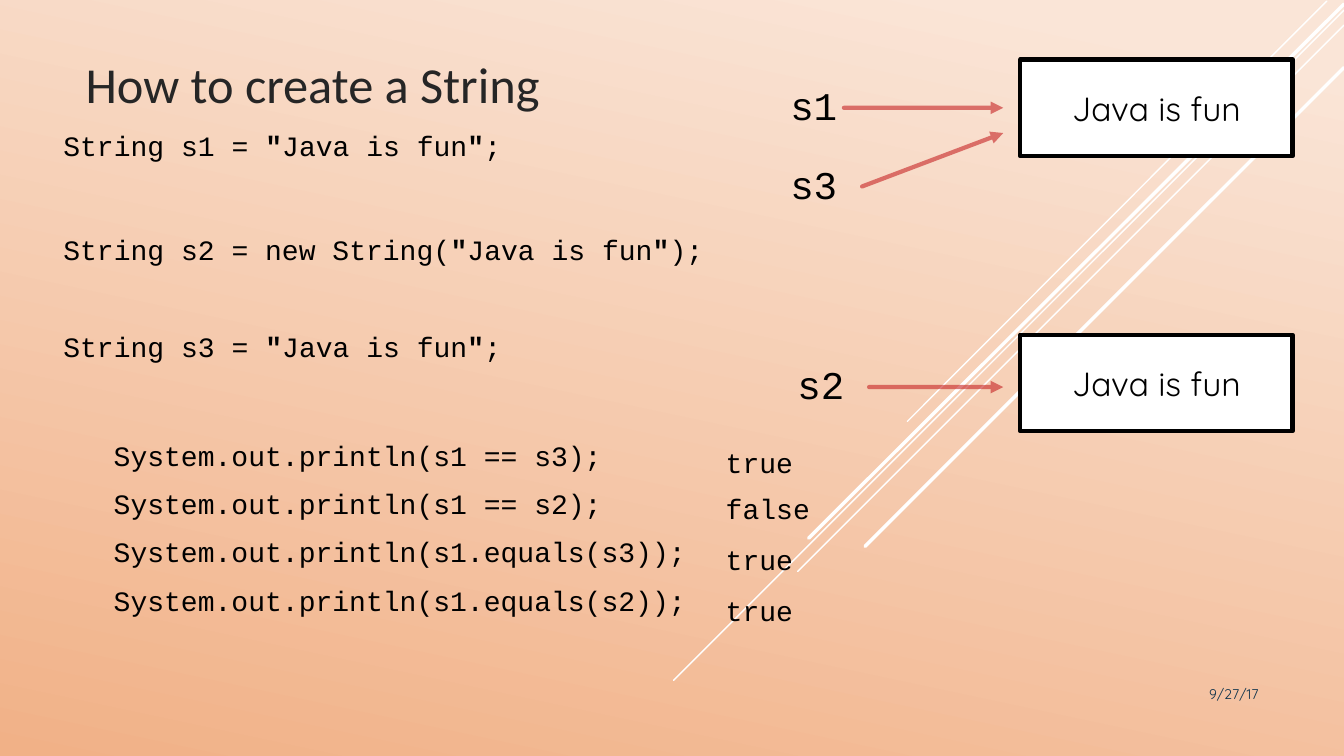
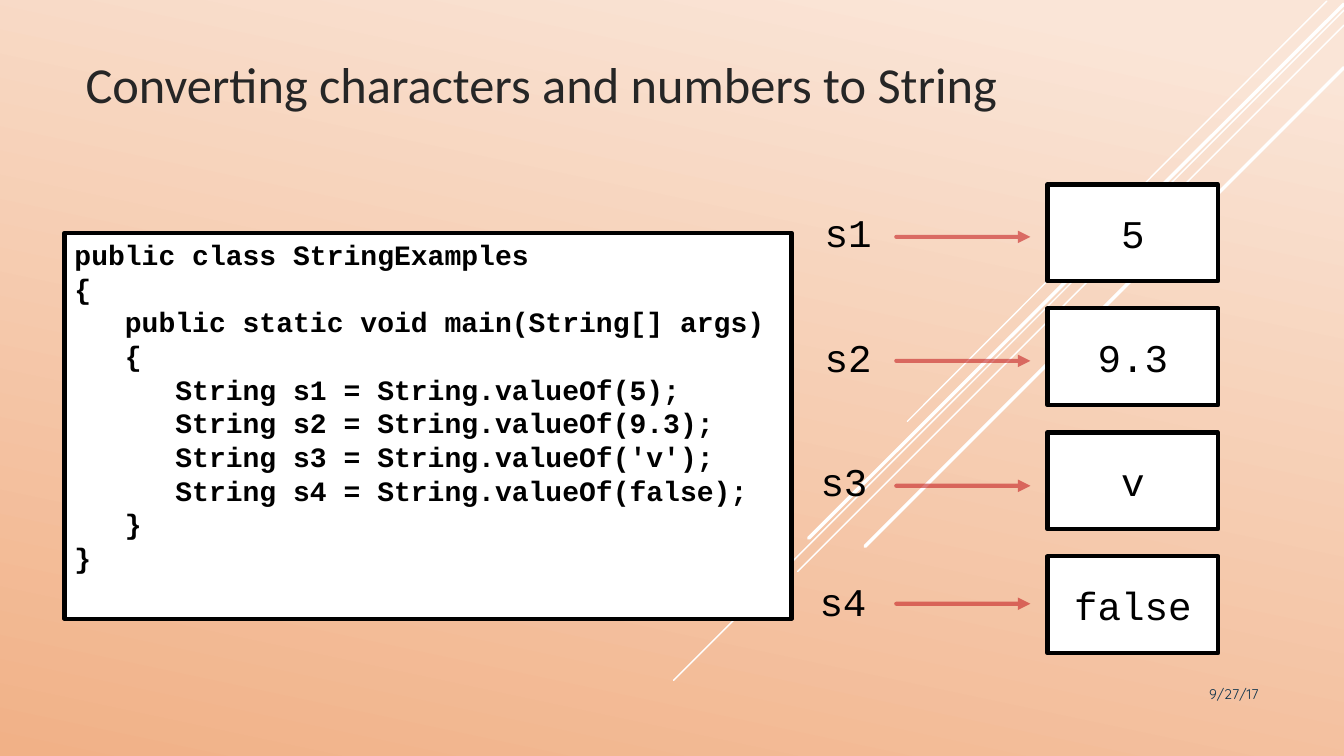
from lxml import etree
from pptx import Presentation
from pptx import util as u
from pptx.dml.color import RGBColor
from pptx.enum import shapes, text
from pptx.oxml.ns import qn

PX = 9144  # one px is a hundredth of an inch
COLORS = {
    "light": "FAE5D7", "peach": "F1B187", "white": "FFFFFF", "black": "000000",
    "title": "262626", "date": "0A304A", "arrow": "C62324",
}
MONO, SANS, ROUND = "Courier New", "Calibri", "Quicksand"
FORMATS = {
    "title": {"name": SANS, "size": u.Pt(36), "color": "title"},
    "date": {"name": ROUND, "size": u.Pt(10), "color": "date"},
    "code": {"name": MONO, "size": u.Pt(20), "color": "black"},
    "bold code": {"name": MONO, "size": u.Pt(20), "color": "black", "bold": True},
    "label": {"name": MONO, "size": u.Pt(28), "color": "black"},
    "string": {"name": ROUND, "size": u.Pt(24), "color": "black"},
}
STRIPES = [  # x1, y1, x2, y2, width in points
    (1316, 1, 900, 418, 1), (1333, 10, 668, 675, 1), (1333, 25, 791, 567, 1),
    (1333, 4, 802, 534, 2.5), (1333, 67, 858, 542, 2.5),
]
CODE_LINE = u.Pt(24)


def px(*values):
    return [u.Emu(v * PX) for v in values]


def rgb(name):
    return RGBColor.from_string(COLORS[name])


def add_run(p, words, fmt):
    r = p.add_run()
    r.text = words
    for key, value in FORMATS[fmt].items():
        if key == "color":
            r.font.color.rgb = rgb(value)
        else:
            setattr(r.font, key, value)


def set_frame(sp, anchor):
    tf = sp.text_frame
    tf.word_wrap = True
    tf.vertical_anchor = anchor
    return tf


def add_text(s, at, words, fmt, align=text.PP_ALIGN.LEFT, anchor=text.MSO_ANCHOR.TOP):
    tf = set_frame(s.shapes.add_textbox(*px(*at)), anchor)
    p = tf.paragraphs[0]
    p.alignment = align
    add_run(p, words, fmt)


def add_box(s, at):
    sp = s.shapes.add_shape(shapes.MSO_SHAPE.RECTANGLE, *px(*at))
    sp.shadow.inherit = False
    sp.fill.solid()
    sp.fill.fore_color.rgb = rgb("white")
    sp.line.color.rgb = rgb("black")
    sp.line.width = u.Pt(3)
    return sp


def add_value_box(s, at, words, fmt):
    p = set_frame(add_box(s, at), text.MSO_ANCHOR.MIDDLE).paragraphs[0]
    p.alignment = text.PP_ALIGN.CENTER
    add_run(p, words, fmt)


def add_line(s, ends, color, width):
    c = s.shapes.add_connector(shapes.MSO_CONNECTOR.STRAIGHT, *px(*ends))
    c.line.color.rgb = rgb(color)
    c.line.width = u.Pt(width)
    c.line._ln.set("cap", "rnd")
    etree.SubElement(c._element.spPr, qn("a:effectLst"))
    return c


def add_arrow(s, ends):
    ln = add_line(s, ends, "arrow", 3).line._ln
    etree.SubElement(ln.find(".//" + qn("a:srgbClr")), qn("a:alpha"), val="60000")
    etree.SubElement(ln, qn("a:tailEnd"), type="triangle")


def add_label(s, x, y, words):
    add_text(s, (x, y, 80, 57), words, "label")


def set_master(prs, s):
    """Give the master its gradient and stripes."""
    master = prs.slide_master
    fill = master.background.fill
    fill.gradient()
    fill.gradient_angle = 258
    for stop, color, position in zip(fill.gradient_stops, ("light", "peach"), (0.07, 1)):
        stop.color.rgb = rgb(color)
        stop.position = position
    for *ends, width in STRIPES:
        stripe = add_line(s, ends, "white", width)
        master.shapes._spTree.append(stripe._element)


def add_slide(prs, title):
    s = prs.slides.add_slide(prs.slide_layouts[6])
    add_text(s, (75, 15, 1080, 103), title, "title", anchor=text.MSO_ANCHOR.BOTTOM)
    add_text(s, (1083, 675, 175, 40), "9/27/17", "date", align=text.PP_ALIGN.RIGHT)
    return s


def fill_creation(s):
    # Statements: space before in points, indent in px, code
    statements = [
        (0, 0, 'String s1 = "Java is fun";'),
        (50, 0, 'String s2 = new String("Java is fun");'),
        (45, 0, 'String s3 = "Java is fun";'),
        (54, 50, "System.out.println(s1 == s3);"),
        (10.5, 50, "System.out.println(s1 == s2);"),
        (10.5, 50, "System.out.println(s1.equals(s3));"),
        (10.5, 50, "System.out.println(s1.equals(s2));"),
    ]
    tf = set_frame(s.shapes.add_textbox(*px(53, 123, 690, 510)), text.MSO_ANCHOR.TOP)
    for i, (gap, indent, code) in enumerate(statements):
        p = tf.add_paragraph() if i else tf.paragraphs[0]
        p._p.get_or_add_pPr().set("marL", str(indent * PX))
        p.line_spacing = CODE_LINE
        if gap:
            p.space_before = u.Pt(gap)
        for j, part in enumerate(code.split('"')):
            if j:
                add_run(p, '"', "bold code")
            add_run(p, part, "code")

    # Printed results
    for y, result in ((437, "true"), (483, "false"), (533, "true"), (584, "true")):
        add_text(s, (710, y, 214, 44), result, "code")

    # Variables and the objects they refer to
    for y in (59, 332):
        add_value_box(s, (1012, y, 270, 96), "Java is fun", "string")
    references = [
        ("s1", 774, 76, (837, 107, 995, 107)),
        ("s3", 774, 154, (855, 185, 995, 132)),
        ("s2", 781, 353, (862, 384, 995, 384)),
    ]
    for name, x, y, ends in references:
        add_label(s, x, y, name)
        add_arrow(s, ends)


def fill_conversion(s):
    # Variables and their values
    rows = [  # name, value, label x, label y, arrow y
        ("s1", "5", 808, 202, 235), ("s2", "9.3", 808, 326, 358),
        ("s3", "v", 804, 449, 482), ("s4", "false", 803, 568, 599),
    ]
    for i, (name, value, x, y, arrow_y) in enumerate(rows):
        add_value_box(s, (1039, 183 + 123 * i, 169, 96), value, "label")
        add_label(s, x, y, name)
        add_arrow(s, (889, arrow_y, 1022, arrow_y))

    # Class listing
    listing = """public class StringExamples
{
   public static void main(String[] args)
   {
      String s1 = String.valueOf(5);
      String s2 = String.valueOf(9.3);
      String s3 = String.valueOf('v');
      String s4 = String.valueOf(false);
   }
}"""
    tf = set_frame(add_box(s, (64, 231, 721, 383)), text.MSO_ANCHOR.TOP)
    for i, code in enumerate(listing.split("\n")):
        p = tf.add_paragraph() if i else tf.paragraphs[0]
        p.alignment = text.PP_ALIGN.LEFT
        p.line_spacing = CODE_LINE
        add_run(p, code, "bold code")


def main():
    prs = Presentation()
    prs.slide_width, prs.slide_height = px(1333, 750)
    creation = add_slide(prs, "How to create a String")
    set_master(prs, creation)
    fill_creation(creation)
    fill_conversion(add_slide(prs, "Converting characters and numbers to String"))
    prs.save("out.pptx")


if __name__ == "__main__":
    main()
